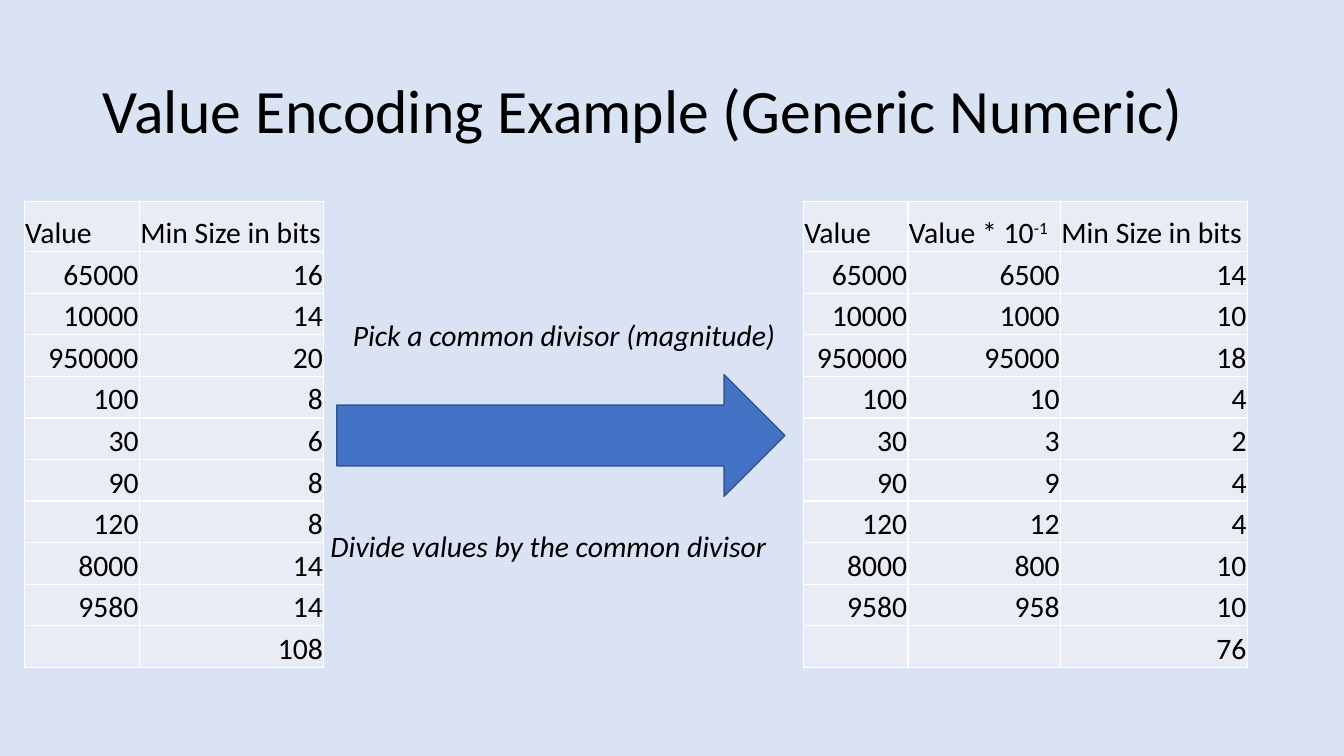
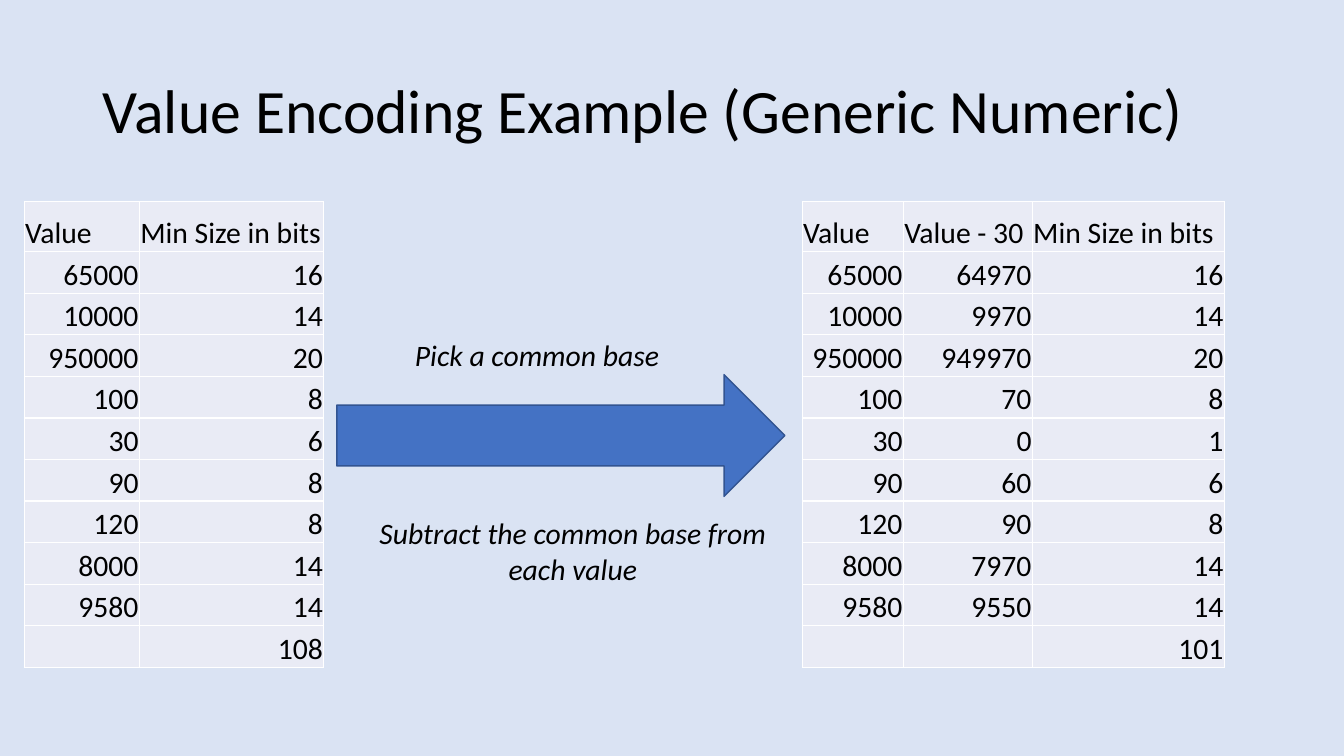
from lxml.etree import SubElement
from pptx import Presentation
from pptx.dml.color import RGBColor
from pptx.enum.shapes import MSO_SHAPE as Shape
from pptx.enum.text import MSO_ANCHOR as Anchor, MSO_AUTO_SIZE as AutoSize, PP_ALIGN as Align
from pptx.oxml.ns import qn
from pptx.util import Cm, Pt

TITLE = "Value Encoding Example (Generic Numeric)"
VALUES = [65000, 10000, 950000, 100, 30, 90, 120, 8000, 9580]
RAW_BITS = [16, 14, 20, 8, 6, 8, 8, 14, 14]
SCALED_BITS = [14, 10, 18, 4, 2, 4, 4, 10, 10]
SHIFTED_BITS = [16, 14, 20, 8, 1, 6, 8, 14, 14]
BITS_HEADER = "Min Size in bits"


def rgb(hex_code):
    return RGBColor.from_string(hex_code)


def with_total(*columns):
    """Turn columns into text rows; the last row sums the last column."""
    rows = [[str(number) for number in row] for row in zip(*columns)]
    return rows + [[""] * (len(columns) - 1) + [str(sum(columns[-1]))]]


class Deck:
    FONT = "Calibri"
    INK = "000000"
    BACKGROUND = "DAE3F3"
    CELL = "E9EBF5"
    GRID = "FFFFFF"
    ARROW, ARROW_EDGE = "4472C4", "325491"
    TITLE_SIZE, BODY_SIZE = 41.6, 20
    TABLE_TOP, HEADER_HEIGHT, ROW_HEIGHT = 4.8, 1.19, 0.99

    def __init__(self):
        self.prs = Presentation()
        self.prs.slide_width, self.prs.slide_height = Cm(32), Cm(18)
        self.slide = None
        backdrop = self.prs.slide_master.background.fill
        backdrop.solid()
        backdrop.fore_color.rgb = rgb(self.BACKGROUND)

    def new_slide(self, title):
        self.slide = self.prs.slides.add_slide(self.prs.slide_layouts[6])
        frame = self.text(title, 2.2, 0.97, 27.6, 3.48, self.TITLE_SIZE)
        frame.word_wrap = True
        frame.vertical_anchor = Anchor.MIDDLE
        frame.paragraphs[0].line_spacing = 0.9

    def style(self, paragraph, size, italic=False, align=Align.LEFT):
        font = paragraph.font
        font.name, font.size, font.italic = self.FONT, Pt(size), italic
        font.color.rgb = rgb(self.INK)
        paragraph.alignment = align

    def text(self, words, left, top, width, height, size, italic=False, align=Align.LEFT):
        box = self.slide.shapes.add_textbox(Cm(left), Cm(top), Cm(width), Cm(height))
        frame = box.text_frame
        frame.text = words
        for paragraph in frame.paragraphs:
            self.style(paragraph, size, italic, align)
        return frame

    def note(self, words, left, top, width, height=1.12, align=Align.LEFT):
        frame = self.text(words, left, top, width, height, self.BODY_SIZE, True, align)
        frame.word_wrap = False
        frame.auto_size = AutoSize.SHAPE_TO_FIT_TEXT

    def arrow(self):
        arrow = self.slide.shapes.add_shape(
            Shape.RIGHT_ARROW, Cm(8.02), Cm(8.92), Cm(10.67), Cm(2.9))
        arrow.shadow.inherit = False
        arrow.fill.solid()
        arrow.fill.fore_color.rgb = rgb(self.ARROW)
        arrow.line.color.rgb = rgb(self.ARROW_EDGE)
        arrow.line.width = Pt(1)

    def table(self, left, widths, header, rows):
        height = self.HEADER_HEIGHT + self.ROW_HEIGHT * len(rows)
        table = self.slide.shapes.add_table(
            len(rows) + 1, len(header), Cm(left), Cm(self.TABLE_TOP),
            Cm(sum(widths)), Cm(height)).table
        table.first_row = table.horz_banding = False
        for column, width in zip(table.columns, widths):
            column.width = Cm(width)
        for index, words in enumerate([header] + rows):
            table.rows[index].height = Cm(self.ROW_HEIGHT if index else self.HEADER_HEIGHT)
            for cell, word in zip(table.rows[index].cells, words):
                self.cell(cell, word, Align.RIGHT if index else Align.LEFT)

    def cell(self, cell, words, align):
        """Fill one cell; words after ^ become superscript."""
        cell.margin_left = cell.margin_right = cell.margin_top = Cm(0.02)
        cell.margin_bottom = 0
        cell.vertical_anchor = Anchor.BOTTOM
        for side in ("a:lnL", "a:lnR", "a:lnT", "a:lnB"):
            line = SubElement(cell._tc.get_or_add_tcPr(), qn(side), w=str(Pt(1)))
            SubElement(SubElement(line, qn("a:solidFill")), qn("a:srgbClr"), val=self.GRID)
        cell.fill.solid()
        cell.fill.fore_color.rgb = rgb(self.CELL)
        paragraph = cell.text_frame.paragraphs[0]
        self.style(paragraph, self.BODY_SIZE, align=align)
        base, _, exponent = words.partition("^")
        if base:
            paragraph.add_run().text = base
        if exponent:
            power = paragraph.add_run()
            power.text = exponent
            power._r.get_or_add_rPr().set("baseline", "30000")

    def example(self, left, widths, header, encoded, bits):
        """Start a slide: raw table, arrow, and the encoded table at left."""
        self.new_slide(TITLE)
        self.arrow()
        self.table(0.58, [2.74, 4.39], ["Value", BITS_HEADER], with_total(VALUES, RAW_BITS))
        self.table(left, widths, ["Value", header, BITS_HEADER],
                   with_total(VALUES, encoded, bits))


def main():
    deck = Deck()

    deck.example(19.13, [2.49, 3.63, 4.45], "Value * 10^-1",
                 [value // 10 for value in VALUES], SCALED_BITS)
    deck.note("Pick a common divisor (magnitude)", 8.15, 7.42, 10.67)
    deck.note("Divide values by the common divisor", 7.62, 12.45, 10.97)

    deck.example(19.1, [2.41, 3.07, 4.57], "Value - 30",
                 [value - 30 for value in VALUES], SHIFTED_BITS)
    deck.note("Pick a common base", 9.63, 7.9, 6.38)
    deck.note("Subtract the common base from\neach value", 8.74, 12.14, 9.8, 1.96, Align.CENTER)

    deck.prs.save("out.pptx")


if __name__ == "__main__":
    main()
